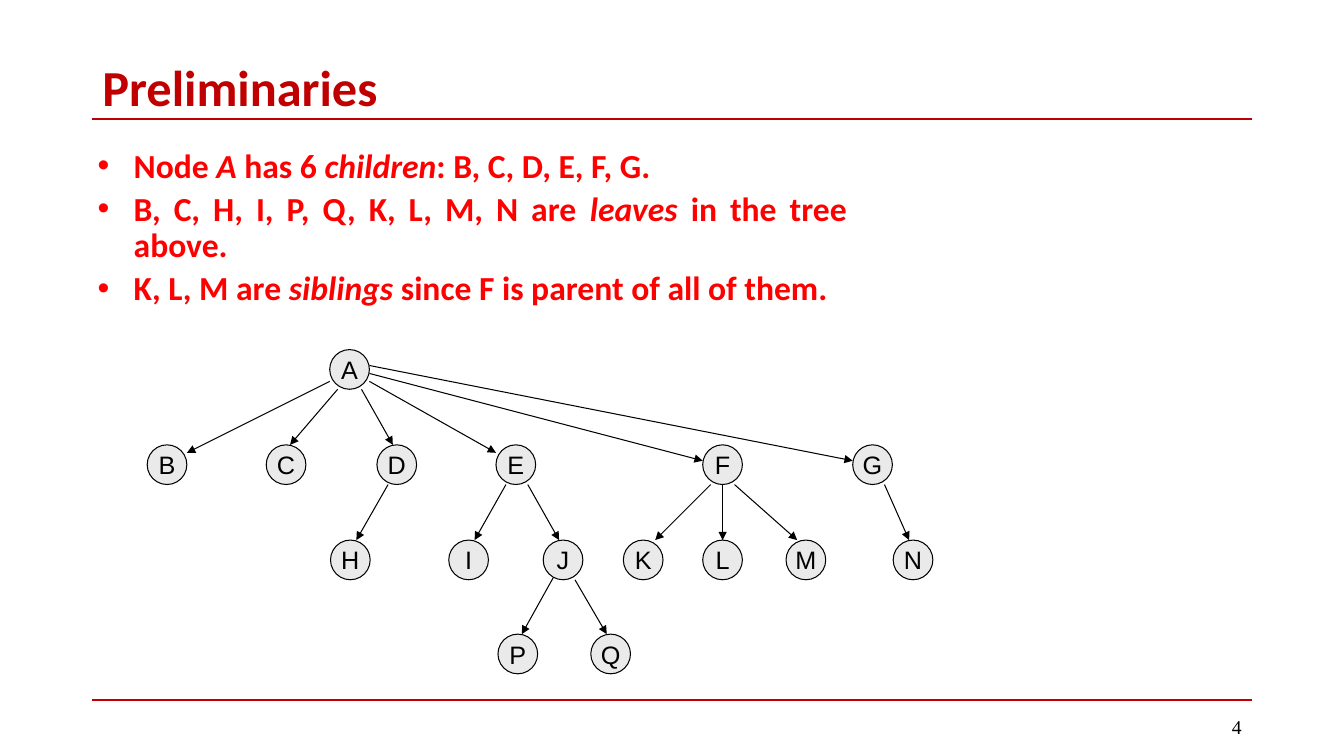
from dataclasses import dataclass

from lxml import etree
from pptx import Presentation
from pptx.dml.color import RGBColor
from pptx.enum.shapes import MSO_CONNECTOR, MSO_SHAPE
from pptx.enum.text import MSO_ANCHOR, PP_ALIGN
from pptx.oxml.ns import qn
from pptx.util import Cm, Pt

STRAIGHT = MSO_CONNECTOR.STRAIGHT
OVAL = MSO_SHAPE.OVAL
TOP, MIDDLE = MSO_ANCHOR.TOP, MSO_ANCHOR.MIDDLE
LEFT, CENTER, RIGHT = PP_ALIGN.LEFT, PP_ALIGN.CENTER, PP_ALIGN.RIGHT
JUSTIFY = PP_ALIGN.JUSTIFY


@dataclass(frozen=True)
class Theme:
    rule: RGBColor = RGBColor(0xC0, 0x00, 0x00)
    statement: RGBColor = RGBColor(0xFF, 0x00, 0x00)
    ink: RGBColor = RGBColor(0x00, 0x00, 0x00)
    node_fill: RGBColor = RGBColor(0xEA, 0xEA, 0xEA)
    text_font: str = "Calibri"
    node_font: str = "Arial"
    number_font: str = "Times New Roman"
    title_size: int = 36
    statement_size: int = 24
    node_size: int = 18
    number_size: int = 14
    rule_width: float = 1.5
    edge_width: float = 0.75


THEME = Theme()

# Each statement is a list of (text, italic) runs.
STATEMENTS = [
    [("Node ", False), ("A", True), (" has 6 ", False),
     ("children", True), (": B, C, D, E, F, G.", False)],
    [("B, C, H, I, P, Q, K, L, M, N are ", False), ("leaves ", True),
     ("in the tree above.", False)],
    [("K, L, M are ", False), ("siblings", True),
     (" since F is parent of all of them.", False)],
]

# Levels of the tree: offset from its top, then the left offset of each node (cm).
NODE_DIAMETER = 1.0
LEVELS = [
    (0, {"A": 4.6}),
    (2.4, {"B": 0, "C": 3, "D": 5.79, "E": 8.79, "F": 14, "G": 17.78}),
    (4.8, {"H": 4.62, "I": 7.6, "J": 9.98, "K": 12, "L": 14, "M": 16.1, "N": 18.8}),
    (7.17, {"P": 8.84, "Q": 11.18}),
]

# Parent, child, and where the arrow leaves and meets them, as shares of the diameter.
EDGES = [
    ("A", "B", (0, 0.8), (1, 0.2)),
    ("A", "C", (0.2, 1), (0.6, 0)),
    ("A", "D", (0.8, 1), (0.4, 0)),
    ("A", "E", (1, 0.8), (0, 0.2)),
    ("A", "F", (1, 0.6), (0, 0.4)),
    ("A", "G", (1, 0.4), (0, 0.4)),
    ("D", "H", (0.28, 1), (0.65, 0)),
    ("E", "I", (0.25, 1), (0.65, 0)),
    ("E", "J", (0.8, 1), (0.4, 0)),
    ("F", "K", (0.2, 1), (0.8, 0)),
    ("F", "L", (0.5, 1), (0.5, 0)),
    ("F", "M", (0.8, 1), (0.28, 0)),
    ("G", "N", (0.8, 1), (0.4, 0)),
    ("J", "P", (0.25, 0.95), (0.6, 0)),
    ("J", "Q", (0.8, 1), (0.4, 0)),
]


def add_run(paragraph, text, font, size, color, bold=False, italic=False):
    run = paragraph.add_run()
    run.text = text
    run.font.name = font
    run.font.size = Pt(size)
    run.font.color.rgb = color
    run.font.bold = bold
    run.font.italic = italic


def add_line(shapes, start, end, color, width):
    line = shapes.add_connector(STRAIGHT, *(Cm(v) for v in (*start, *end)))
    line.line.color.rgb = color
    line.line.width = Pt(width)
    etree.SubElement(line._element.spPr, qn("a:effectLst"))
    return line


def add_text_frame(slide, box, anchor):
    frame = slide.shapes.add_textbox(*(Cm(v) for v in box)).text_frame
    frame.word_wrap = True
    frame.vertical_anchor = anchor
    return frame


def set_bullet(paragraph, left, hanging):
    properties = paragraph._p.get_or_add_pPr()
    properties.set("marL", str(Cm(left)))
    properties.set("indent", str(-Cm(hanging)))
    font = etree.SubElement(properties, qn("a:buFont"))
    font.set("typeface", THEME.node_font)
    etree.SubElement(properties, qn("a:buChar")).set("char", "•")


def draw_title(slide, box):
    left, top, width, height = box
    paragraph = add_text_frame(slide, box, MIDDLE).paragraphs[0]
    paragraph.alignment = LEFT
    paragraph.line_spacing = 0.9
    add_run(paragraph, "Preliminaries", THEME.text_font, THEME.title_size,
            THEME.rule, bold=True)
    bottom = top + height
    add_line(slide.shapes, (left, bottom), (left + width, bottom),
             THEME.rule, THEME.rule_width)


def draw_statements(slide, box):
    frame = add_text_frame(slide, box, TOP)
    for index, runs in enumerate(STATEMENTS):
        paragraph = frame.add_paragraph() if index else frame.paragraphs[0]
        paragraph.alignment = JUSTIFY
        paragraph.line_spacing = 0.9
        if index:
            paragraph.space_before = Pt(5)
        set_bullet(paragraph, 1.85, 0.91)
        for text, italic in runs:
            add_run(paragraph, text, THEME.text_font, THEME.statement_size,
                    THEME.statement, bold=True, italic=italic)


def draw_node(shapes, label, corner):
    node = shapes.add_shape(OVAL, *(Cm(v) for v in corner),
                            Cm(NODE_DIAMETER), Cm(NODE_DIAMETER))
    node.shadow.inherit = False
    node.fill.solid()
    node.fill.fore_color.rgb = THEME.node_fill
    node.line.color.rgb = THEME.ink
    node.line.width = Pt(THEME.edge_width)
    frame = node.text_frame
    frame.margin_left = frame.margin_right = 0
    frame.margin_top = frame.margin_bottom = 0
    frame.word_wrap = False
    frame.vertical_anchor = MIDDLE
    frame.paragraphs[0].alignment = CENTER
    add_run(frame.paragraphs[0], label, THEME.node_font, THEME.node_size, THEME.ink)


def draw_tree(slide, origin):
    left, top = origin
    shapes = slide.shapes.add_group_shape().shapes
    corners = {label: (left + x, top + y)
               for y, level in LEVELS for label, x in level.items()}
    for label, corner in corners.items():
        draw_node(shapes, label, corner)
    for parent, child, leave, meet in EDGES:
        start, end = (
            [edge + share * NODE_DIAMETER for edge, share in zip(corners[label], shares)]
            for label, shares in ((parent, leave), (child, meet))
        )
        arrow = add_line(shapes, start, end, THEME.ink, THEME.edge_width)
        head = etree.SubElement(arrow.line._get_or_add_ln(), qn("a:tailEnd"))
        head.set("type", "triangle")


def draw_footer(slide, box):
    left, top, width, height = box
    add_line(slide.shapes, (left, top), (left + width, top),
             THEME.rule, THEME.rule_width)
    number_width = 7.62
    number_box = (left + width - number_width, top + 0.15, number_width, height - 0.15)
    paragraph = add_text_frame(slide, number_box, MIDDLE).paragraphs[0]
    paragraph.alignment = RIGHT
    add_run(paragraph, "4", THEME.number_font, THEME.number_size, THEME.ink)


def main():
    presentation = Presentation()
    presentation.slide_width = Cm(33.87)
    presentation.slide_height = Cm(19.05)
    slide = presentation.slides.add_slide(presentation.slide_layouts[6])
    draw_title(slide, (2.33, 1.54, 29.21, 1.46))
    draw_statements(slide, (1.27, 3.63, 20.32, 13.64))
    draw_tree(slide, (3.71, 8.81))
    draw_footer(slide, (2.33, 17.65, 29.21, 1.17))
    presentation.save("out.pptx")


if __name__ == "__main__":
    main()
